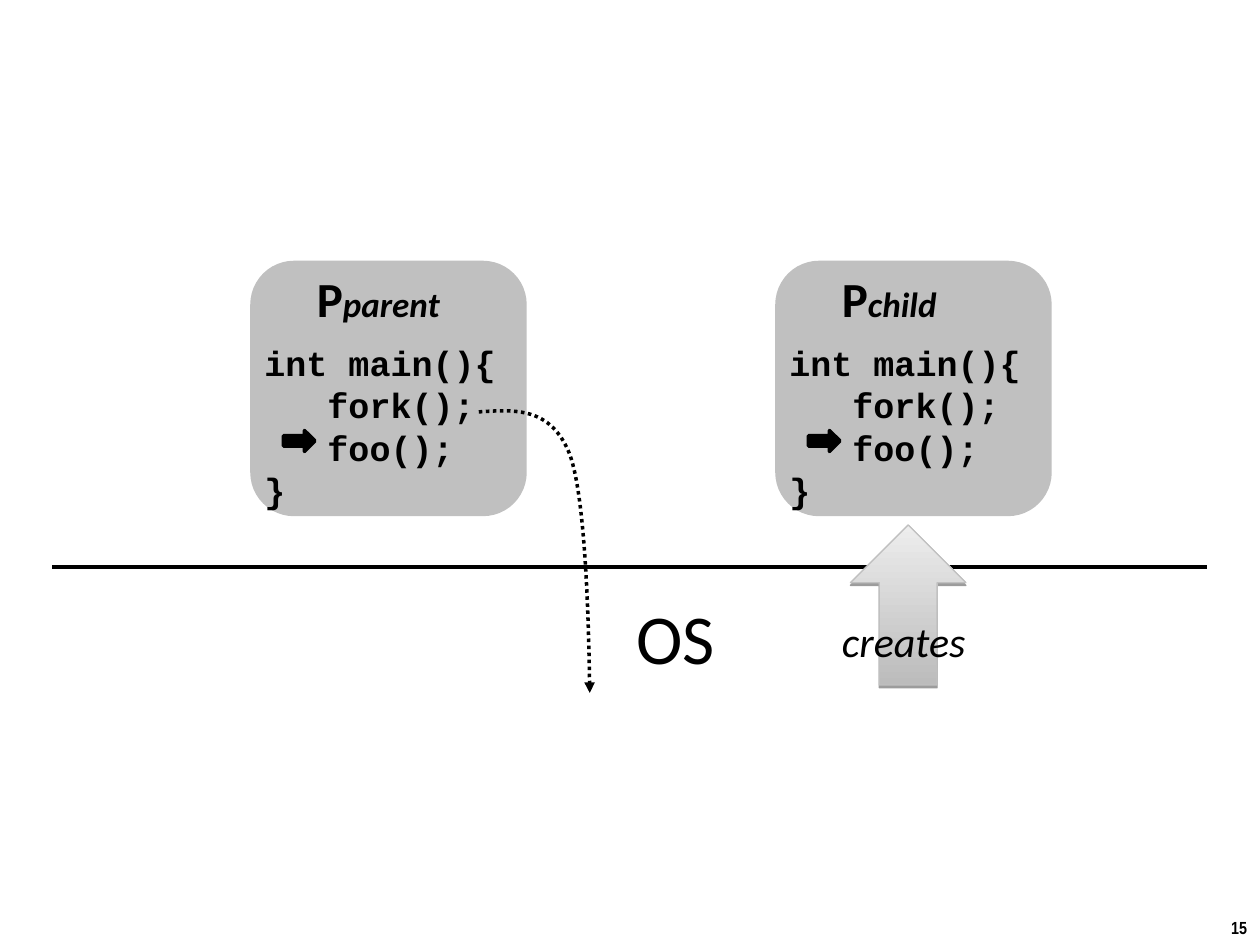
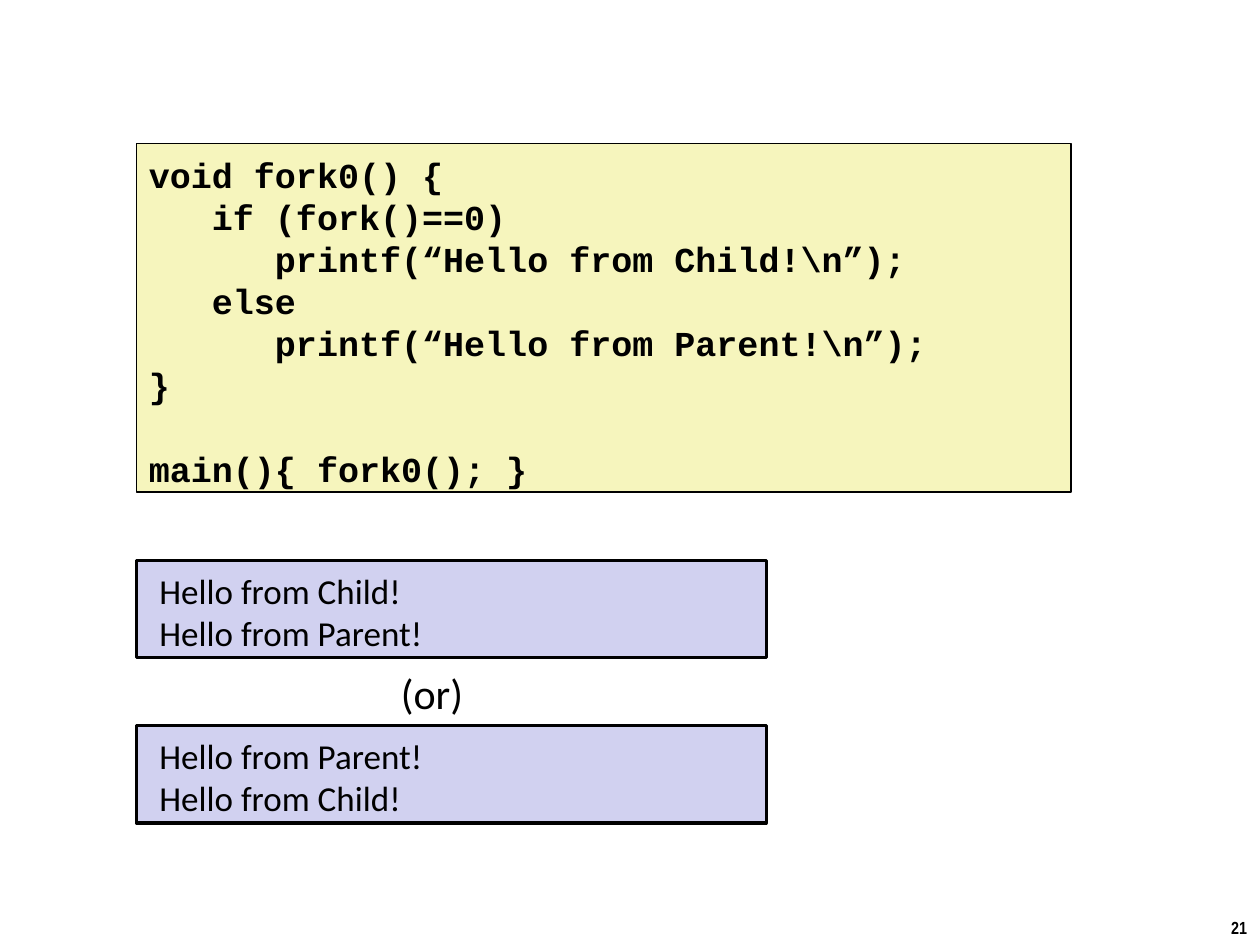
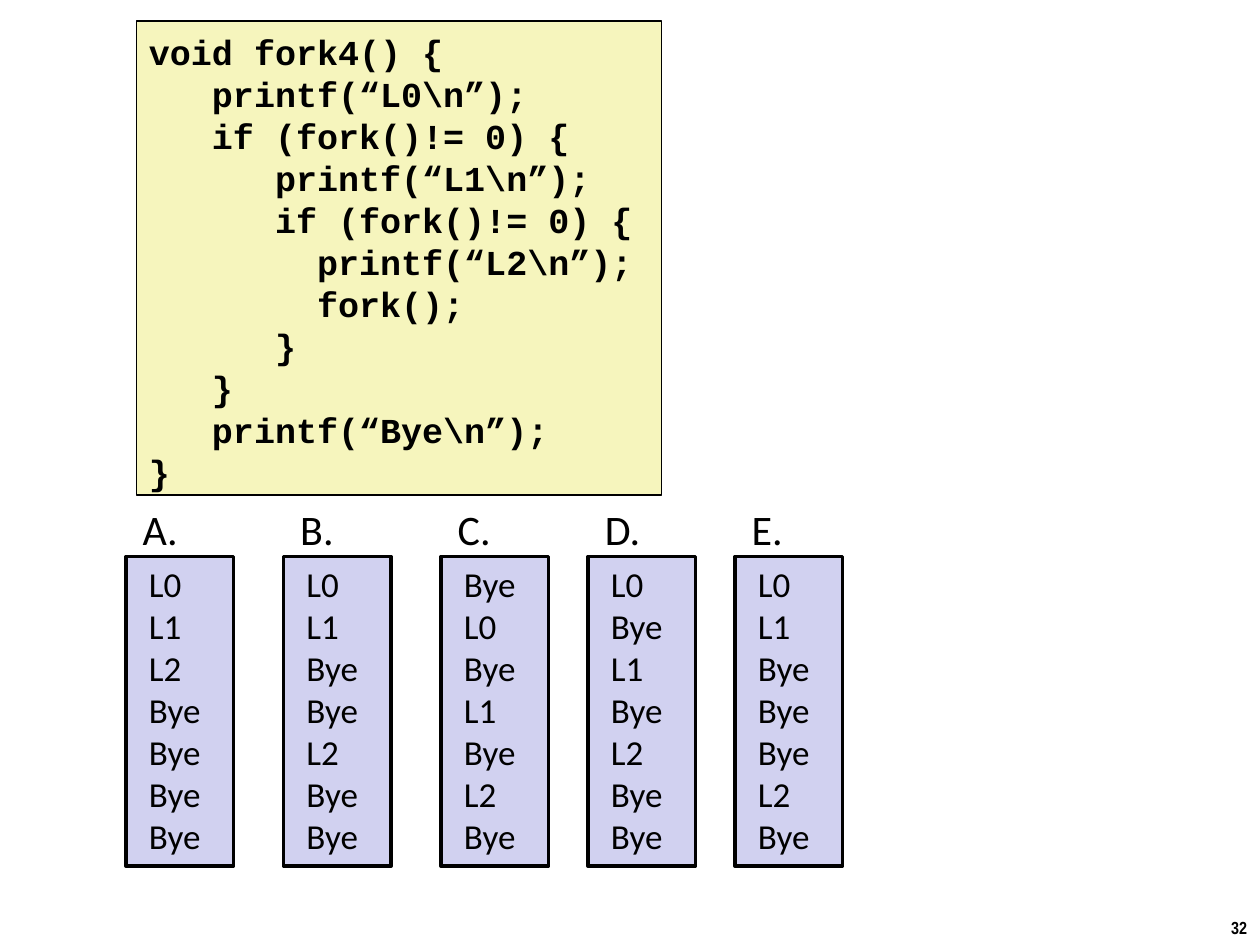
from lxml.etree import SubElement as Sub
from pptx import Presentation
from pptx.dml.color import RGBColor as Rgb
from pptx.enum.dml import MSO_LINE as Dash
from pptx.enum.shapes import MSO_CONNECTOR as Conn, MSO_SHAPE as Kind
from pptx.enum.text import MSO_ANCHOR as Anchor, PP_ALIGN as Align
from pptx.oxml.ns import qn
from pptx.util import Pt

HUES = {
    "ink": "000000",
    "gray": "C0C0C0",
    "code": "F6F5BD",
    "out": "D1D1F0",
    "dark": "BCBCBC",
    "light": "EDEDED",
}
BODY, MONO, NARROW = "Calibri", "Courier New", "Arial Narrow"


def hue(name):
    return Rgb.from_string(HUES[name])


def add_run(para, text, size=20, font=BODY, bold=False, slant=False):
    run = para.add_run()
    run.text = text
    look = run.font
    look.size, look.name = Pt(size), font
    look.bold, look.italic = bold, slant
    look.color.rgb = hue("ink")


def put(frame, text, align=Align.LEFT, pitch=None, top=3.6, wrap=True, **look):
    """Fill a frame, one paragraph for each line of text."""
    frame.word_wrap = wrap
    frame.vertical_anchor = Anchor.TOP
    frame.margin_left = frame.margin_right = Pt(7.2)
    frame.margin_top, frame.margin_bottom = Pt(top), Pt(3.6)
    for i, line in enumerate(text.split("\n")):
        para = frame.add_paragraph() if i else frame.paragraphs[0]
        para.alignment = align
        if pitch:
            para.line_spacing = Pt(pitch)
        add_run(para, line, **look)
    return frame


class Deck:
    def __init__(self):
        self.file = Presentation()
        self.file.slide_width, self.file.slide_height = Pt(720), Pt(540)

    def page(self, number):
        self.slide = self.file.slides.add_slide(self.file.slide_layouts[6])
        self.shapes = self.slide.shapes
        self.label(681, 520.5, 54, 19.5, number, align=Align.CENTER,
                   wrap=False, size=10, font=NARROW, bold=True)

    def label(self, x, y, w, h, text, **look):
        box = self.shapes.add_textbox(Pt(x), Pt(y), Pt(w), Pt(h))
        return put(box.text_frame, text, **look)

    def shape(self, kind, x, y, w, h, fill, line="ink", width=2):
        item = self.shapes.add_shape(kind, Pt(x), Pt(y), Pt(w), Pt(h))
        item.shadow.inherit = False
        item.fill.solid()
        item.fill.fore_color.rgb = hue(fill)
        item.line.color.rgb = hue(line)
        item.line.width = Pt(width)
        return item

    def code(self, x, y, w, h, text):
        box = self.shape(Kind.RECTANGLE, x, y, w, h, "code", width=1)
        return put(box.text_frame, text, pitch=24, top=5.6,
                   font=MONO, bold=True)

    def output(self, x, y, w, h, text, wide, drop=0):
        self.shape(Kind.RECTANGLE, x, y, w, h, "out")
        self.label(x + 6, y + drop, wide, h, text)

    def process(self, x, y, name):
        """A process box with its code and program counter."""
        box = self.shape(Kind.ROUNDED_RECTANGLE, x, y, 156, 144, "gray", "gray")
        box.adjustments[0] = 0.167
        self.label(x, y + 40, 156, 104,
                   "int main(){\n   fork();\n   foo();\n}",
                   pitch=24.2, top=5, font=MONO, bold=True)
        head = self.label(x + 30, y, 96, 41, "P", size=28, bold=True)
        add_run(head.paragraphs[0], name, bold=True, slant=True)
        self.shape(Kind.RIGHT_ARROW, x + 18, y + 96, 18, 12, "ink")

    def rule(self, x, y, end):
        line = self.shapes.add_connector(Conn.STRAIGHT, Pt(x), Pt(y),
                                         Pt(end), Pt(y))
        line.line.color.rgb = hue("ink")
        line.line.width = Pt(2)
        Sub(line._element.spPr, qn("a:effectLst"))

    def curve(self, start, *points):
        """A dotted arrow; each three points make one cubic segment."""
        pen = self.shapes.build_freeform(*map(Pt, start))
        pen.add_line_segments([(Pt(x), Pt(y)) for x, y in points], close=False)
        item = pen.convert_to_shape()
        item.shadow.inherit = False
        item.fill.background()
        item.line.color.rgb = hue("ink")
        item.line.width = Pt(2)
        item.line.dash_style = Dash.ROUND_DOT
        Sub(item.line._ln, qn("a:tailEnd"), type="triangle")
        track = item._element.spPr.find(".//" + qn("a:path"))
        steps = track.findall(qn("a:lnTo"))
        for i in range(0, len(steps), 3):
            bend = Sub(track, qn("a:cubicBezTo"))
            for step in steps[i:i + 3]:
                bend.append(step[0])
                track.remove(step)

    def lift(self, x, y, w, h):
        """A shaded arrow that points up."""
        item = self.shape(Kind.UP_ARROW, x, y, w, h, "gray", "gray", 0.75)
        item.fill.gradient()
        item.fill.gradient_angle = 90
        for stop, name, place in zip(item.fill.gradient_stops,
                                     ("dark", "light"), (0, 1)):
            stop.color.rgb, stop.position = hue(name), place
        glow = Sub(item._element.spPr.find(qn("a:effectLst")),
                   qn("a:outerShdw"), blurRad="0", dist=str(Pt(1.6)),
                   dir="5400000", rotWithShape="0")
        tint = Sub(glow, qn("a:srgbClr"), val=HUES["ink"])
        Sub(tint, qn("a:alpha"), val="38000")


def main():
    deck = Deck()

    # Fork: the system creates the child
    deck.page("15")
    deck.process(144, 150, "parent")
    deck.rule(30, 324, 690)
    deck.label(356.5, 336, 68, 55, "OS", wrap=False, size=40)
    deck.curve((273.6, 235.4), (294.5, 234), (314.6, 232.6), (325.4, 259.2),
               (335.5, 285.8), (337, 396), (337, 396))
    deck.process(444, 150, "child")
    deck.lift(486, 300, 66, 91.5)
    deck.label(474, 348, 162, 36, "creates", size=24, slant=True)

    # Two possible outputs
    deck.page("21")
    code = deck.code(78, 82, 534, 199, """void fork0() {
   if (fork()==0)
      printf(“Hello from Child!\\n”);
   else
      printf(“Hello from Parent!\\n”);
}
main(){ fork0(); }""")
    code.paragraphs[-1].space_before = Pt(24)
    hello = ["Hello from Child!", "Hello from Parent!"]
    for y, lines in ((320.4, hello), (414.7, hello[::-1])):
        deck.output(78, y, 360, 55.5, "\n".join(lines), 258, drop=1.5)
    deck.label(222, 378, 96, 36, "(or)", size=24)

    # Nested forks with five candidate outputs
    deck.page("32")
    deck.code(78, 12, 300, 271, """void fork4() {
   printf(“L0\\n”);
   if (fork()!= 0) {
      printf(“L1\\n”);
      if (fork()!= 0) {
        printf(“L2\\n”);
        fork();
      }
   }
   printf(“Bye\\n”);
}""")
    picks = [
        ("A.", 72, "L0 L1 L2 Bye Bye Bye Bye"),
        ("B.", 162, "L0 L1 Bye Bye L2 Bye Bye"),
        ("C.", 252, "Bye L0 Bye L1 Bye L2 Bye"),
        ("D.", 336, "L0 Bye L1 Bye L2 Bye Bye"),
        ("E.", 420, "L0 L1 Bye Bye Bye L2 Bye"),
    ]
    for name, x, words in picks:
        deck.label(x + 2.5, 284, 50, 36, name, size=24)
        deck.output(x, 318, 61.5, 177, words.replace(" ", "\n"), 60)

    deck.file.save("out.pptx")


if __name__ == "__main__":
    main()
